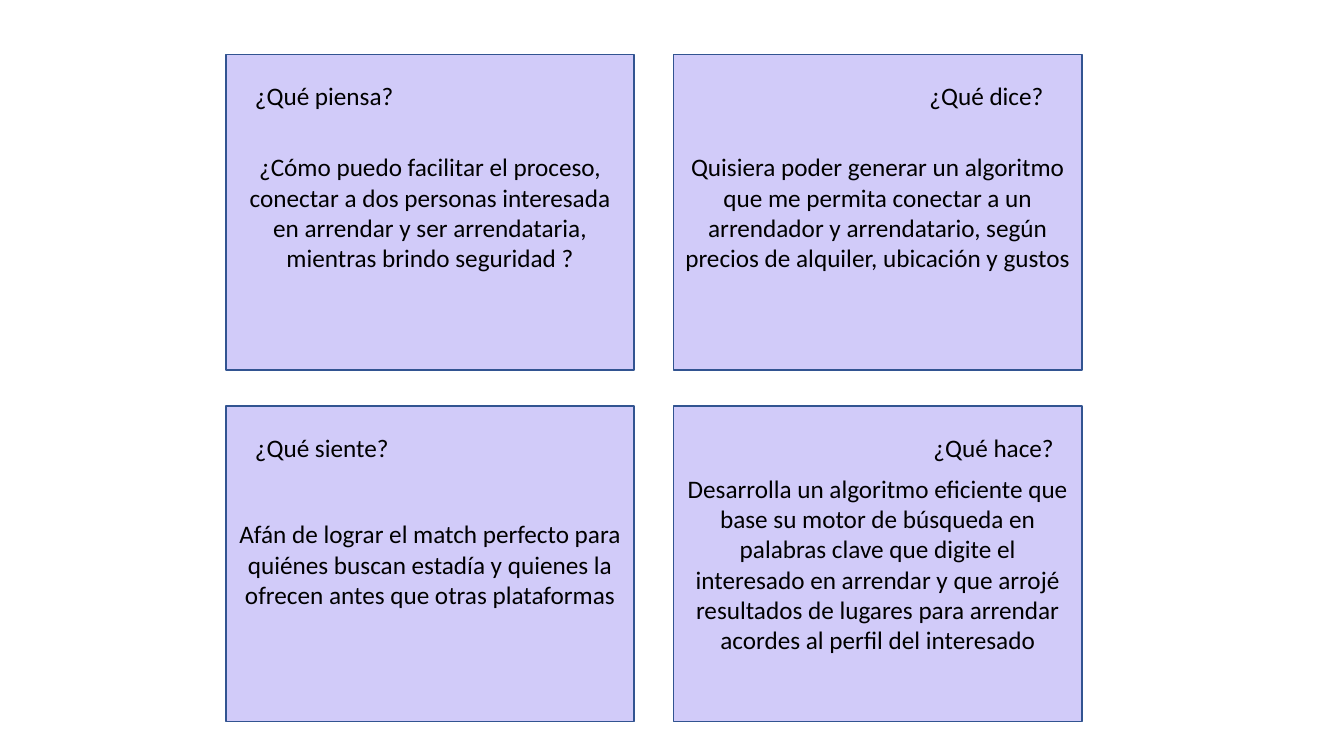
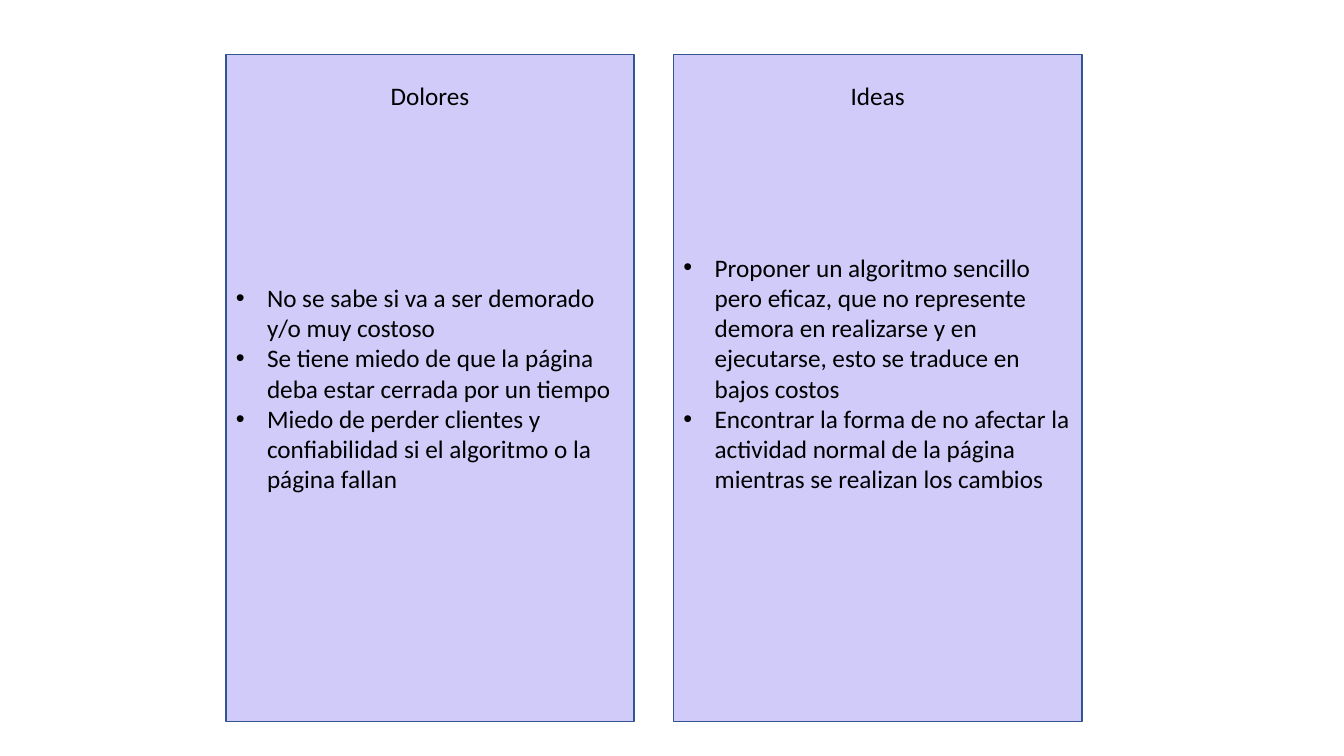
from lxml import etree
from pptx import Presentation
from pptx import util as u
from pptx.dml import color
from pptx.enum import shapes, text
from pptx.oxml import ns

PANEL_FILL, PANEL_LINE, INK = "D1CBF9", "325491", "000000"
FONT, FONT_SIZE = "Calibri", 18
LEFT, TOP = 2.24, 0.54
PANEL_WIDTH, PANEL_HEIGHT, FULL_HEIGHT = 4.05, 3.13, 6.62
COLUMN_STEP, ROW_STEP = 4.44, 3.49
HEADING_OFFSET, HEADING_WIDTH, HEADING_HEIGHT = 0.21, 1.62, 0.4
BULLET_INDENT = 0.31
BLANK_LAYOUT = 6

EMPATHY = [
    (0, 0, "¿Qué piensa?", 2.43,
     "¿Cómo puedo facilitar el proceso, conectar a dos personas interesada en arrendar "
     "y ser arrendataria, mientras brindo seguridad ?"),
    (1, 0, "¿Qué dice?", 9.12,
     "Quisiera poder generar un algoritmo que me permita conectar a un arrendador y "
     "arrendatario, según precios de alquiler, ubicación y gustos"),
    (0, 1, "¿Qué siente?", 2.43,
     "Afán de lograr el match perfecto para quiénes buscan estadía y quienes la "
     "ofrecen antes que otras plataformas"),
    (1, 1, "¿Qué hace?", 9.16,
     "Desarrolla un algoritmo eficiente que base su motor de búsqueda en palabras clave "
     "que digite el interesado en arrendar y que arrojé resultados de lugares para "
     "arrendar acordes al perfil del interesado"),
]
PAINS_AND_IDEAS = [
    ("Dolores", 0.05,
     ["No se sabe si va a ser demorado y/o muy costoso",
      "Se tiene miedo de que la página deba estar cerrada por un tiempo",
      "Miedo de perder clientes y confiabilidad si el algoritmo o la página fallan"]),
    ("Ideas", 0.35,
     ["Proponer un algoritmo sencillo pero eficaz, que no represente demora en "
      "realizarse y en ejecutarse, esto se traduce en bajos costos",
      "Encontrar la forma de no afectar la actividad normal de la página mientras se "
      "realizan los cambios"]),
]


def rgb(value):
    """Turn a hex string into a colour."""
    return color.RGBColor.from_string(value)


def add_bullet(paragraph):
    """Give a paragraph a round bullet with a hanging indent."""
    properties = paragraph._p.get_or_add_pPr()
    indent = u.Inches(BULLET_INDENT)
    properties.set("marL", str(indent))
    properties.set("indent", str(-indent))
    etree.SubElement(properties, ns.qn("a:buFont")).set("typeface", "Arial")
    etree.SubElement(properties, ns.qn("a:buChar")).set("char", "•")


def write(frame, lines, alignment, bulleted=False):
    """Write one paragraph per line in the common text style."""
    frame.word_wrap = True
    frame.text = "\n".join(lines)
    for paragraph in frame.paragraphs:
        paragraph.alignment = alignment
        if bulleted:
            add_bullet(paragraph)
        for run in paragraph.runs:
            run.font.name = FONT
            run.font.size = u.Pt(FONT_SIZE)
            run.font.color.rgb = rgb(INK)


def add_panel(slide, column, row, height):
    """Add a lilac panel at a grid position and return its text frame."""
    panel = slide.shapes.add_shape(
        shapes.MSO_SHAPE.RECTANGLE,
        u.Inches(LEFT + column * COLUMN_STEP), u.Inches(TOP + row * ROW_STEP),
        u.Inches(PANEL_WIDTH), u.Inches(height))
    panel.shadow.inherit = False
    panel.fill.solid()
    panel.fill.fore_color.rgb = rgb(PANEL_FILL)
    panel.line.color.rgb = rgb(PANEL_LINE)
    panel.line.width = u.Pt(1)
    panel.text_frame.vertical_anchor = text.MSO_ANCHOR.MIDDLE
    return panel.text_frame


def add_heading(slide, left, row, heading, alignment):
    """Add the short heading near the top of a panel."""
    box = slide.shapes.add_textbox(
        u.Inches(left), u.Inches(TOP + row * ROW_STEP + HEADING_OFFSET),
        u.Inches(HEADING_WIDTH), u.Inches(HEADING_HEIGHT))
    write(box.text_frame, [heading], alignment)
    box.text_frame.auto_size = text.MSO_AUTO_SIZE.SHAPE_TO_FIT_TEXT


def add_empathy_slide(presentation):
    """Build the four-panel empathy map."""
    slide = presentation.slides.add_slide(presentation.slide_layouts[BLANK_LAYOUT])
    for column, row, heading, heading_left, body in EMPATHY:
        frame = add_panel(slide, column, row, PANEL_HEIGHT)
        write(frame, [body], text.PP_ALIGN.CENTER)
        add_heading(slide, heading_left, row, heading, text.PP_ALIGN.LEFT)


def add_pains_and_ideas_slide(presentation):
    """Build the two full-height bulleted panels."""
    slide = presentation.slides.add_slide(presentation.slide_layouts[BLANK_LAYOUT])
    for column, (heading, bottom_margin, lines) in enumerate(PAINS_AND_IDEAS):
        frame = add_panel(slide, column, 0, FULL_HEIGHT)
        frame.margin_bottom = u.Inches(bottom_margin)
        write(frame, lines, text.PP_ALIGN.LEFT, bulleted=True)
        heading_left = LEFT + column * COLUMN_STEP + (PANEL_WIDTH - HEADING_WIDTH) / 2
        add_heading(slide, heading_left, 0, heading, text.PP_ALIGN.CENTER)


def main():
    """Build and save the presentation."""
    presentation = Presentation()
    presentation.slide_width = u.Inches(13.33)
    presentation.slide_height = u.Inches(7.5)
    add_empathy_slide(presentation)
    add_pains_and_ideas_slide(presentation)
    presentation.save("out.pptx")


if __name__ == "__main__":
    main()
